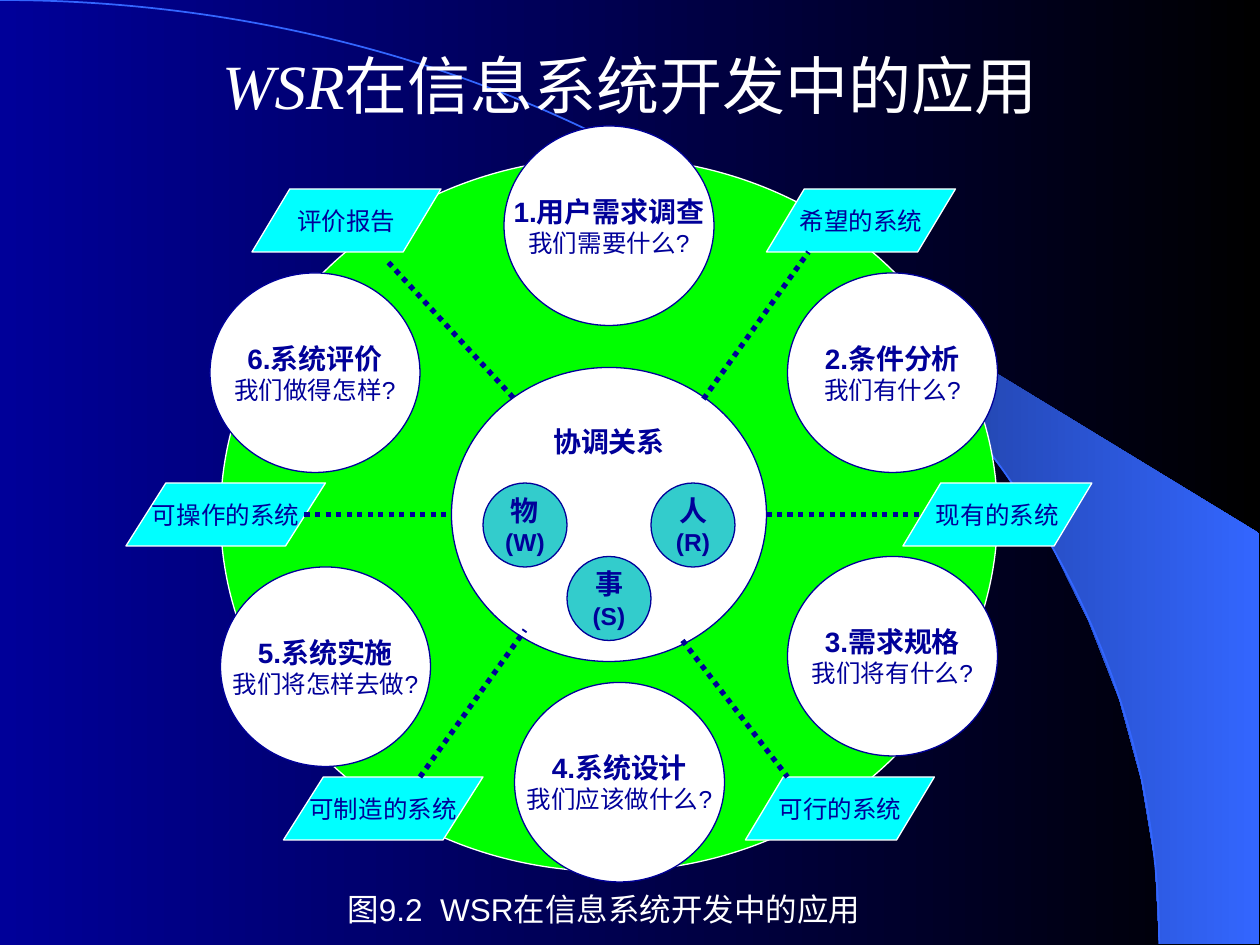
import math
from dataclasses import dataclass
from typing import NamedTuple, Optional

from lxml import etree
from pptx import Presentation
from pptx import util as u
from pptx.dml import color
from pptx.enum import dml, shapes, text
from pptx.oxml import ns

PX = 7620
COLORS = {
    "navy": "000099", "black": "000000", "white": "FFFFFF", "green": "00FF00",
    "cyan": "00FFFF", "teal": "33CCCC", "blue": "3366FF", "deep_blue": "182F76",
}
OVAL = shapes.MSO_SHAPE.OVAL
ARC_RADIUS_X, ARC_RADIUS_Y = 1104, 899
ARC_CONTROLS = [(610, 0), (1104, 402), (1104, 899)]


class Box(NamedTuple):
    left: int
    top: int
    width: int
    height: int


class Run(NamedTuple):
    content: str
    size: int
    bold: bool = False
    color: str = "navy"
    font: str = "Arial"
    italic: bool = False
    spacing: int = 0


@dataclass
class Step:
    left: int
    top: int
    name: str
    question: str


@dataclass
class Role:
    left: int
    top: int
    name: str
    letter: str


@dataclass
class Outcome:
    left: int
    top: int
    width: int
    name: str
    start: tuple[int, int]
    end: tuple[int, int]


STEPS = [
    Step(480, 120, "1.用户需求调查", "我们需要什么?"),
    Step(490, 650, "4.系统设计", "我们应该做什么?"),
    Step(750, 260, "2.条件分析", "我们有什么?"),
    Step(750, 530, "3.需求规格", "我们将有什么?"),
    Step(200, 260, "6.系统评价", "我们做得怎样?"),
    Step(210, 540, "5.系统实施", "我们将怎样去做?"),
]
ROLES = [
    Role(460, 460, "物", "(W)"),
    Role(620, 460, "人", "(R)"),
    Role(540, 530, "事", "(S)"),
]
OUTCOMES = [
    Outcome(730, 180, 180, "希望的系统", (670, 380), (770, 240)),
    Outcome(270, 740, 190, "可制造的系统", (400, 740), (500, 600)),
    Outcome(240, 180, 180, "评价报告", (370, 250), (490, 380)),
    Outcome(710, 740, 180, "可行的系统", (650, 610), (750, 740)),
    Outcome(860, 460, 180, "现有的系统", (730, 490), (880, 490)),
    Outcome(120, 460, 190, "可操作的系统", (290, 490), (430, 490)),
]


def rgb(name: str) -> color.RGBColor:
    return color.RGBColor.from_string(COLORS[name])


def emu(lengths) -> list[int]:
    return [length * PX for length in lengths]


def fill_gradient(fill, first: str, last: str) -> None:
    fill.gradient()
    fill.gradient_angle = 0
    for stop, name in zip(fill.gradient_stops, (first, last)):
        stop.color.rgb = rgb(name)


def write(frame, lines: list[list[Run]], wrap: bool = False,
          anchor=text.MSO_ANCHOR.MIDDLE, fit=text.MSO_AUTO_SIZE.NONE) -> None:
    frame.word_wrap = wrap
    frame.auto_size = fit
    frame.vertical_anchor = anchor
    for index, line in enumerate(lines):
        paragraph = frame.add_paragraph() if index else frame.paragraphs[0]
        paragraph.alignment = text.PP_ALIGN.CENTER
        for item in line:
            run = paragraph.add_run()
            run.text = item.content
            run.font.name = item.font
            run.font.size = u.Pt(item.size)
            run.font.bold = item.bold
            run.font.italic = item.italic
            run.font.color.rgb = rgb(item.color)
            if item.spacing:
                run.font._element.set("spc", str(item.spacing))


def draw_shape(parent, kind, box: Box, fill: str, line: str,
               lines: Optional[list[list[Run]]] = None) -> None:
    shape = parent.add_shape(kind, *emu(box))
    shape.shadow.inherit = False
    shape.fill.solid()
    shape.fill.fore_color.rgb = rgb(fill)
    shape.line.color.rgb = rgb(line)
    shape.line.width = u.Pt(0.75)
    if lines:
        write(shape.text_frame, lines)


def draw_dotted_line(parent, start: tuple[int, int], end: tuple[int, int]) -> None:
    connector = parent.add_connector(shapes.MSO_CONNECTOR.STRAIGHT, *emu(start + end))
    connector.line.color.rgb = rgb("navy")
    connector.line.width = u.Pt(3)
    connector.line.dash_style = dml.MSO_LINE.ROUND_DOT
    etree.SubElement(connector._element.spPr, ns.qn("a:effectLst"))


def arc_point(degree: int) -> tuple[int, int]:
    angle = math.radians(degree)
    return (round(ARC_RADIUS_X * math.sin(angle)),
            round(ARC_RADIUS_Y * (1 - math.cos(angle))))


def draw_outline(parent, points: list[tuple[int, int]], close: bool):
    builder = parent.build_freeform(*points[0], scale=PX)
    builder.add_line_segments(points[1:], close=close)
    shape = builder.convert_to_shape()
    shape.shadow.inherit = False
    return shape


def bend(shape, controls: list[tuple[int, int]]) -> None:
    segment = next(shape._element.iter(ns.qn("a:lnTo")))
    curve = etree.Element(ns.qn("a:cubicBezTo"))
    for x, y in controls:
        etree.SubElement(curve, ns.qn("a:pt"), x=str(x), y=str(y))
    segment.getparent().replace(segment, curve)


def draw_backdrop(slide) -> None:
    fill_gradient(slide.background.fill, "navy", "black")
    edge = [arc_point(degree) for degree in range(40, 91, 5)]
    band = draw_outline(slide.shapes, edge + [(1199, 899), (1199, 508)], True)
    fill_gradient(band.fill, "deep_blue", "blue")
    band.line.fill.background()
    arc = draw_outline(slide.shapes, [(0, 0), (ARC_RADIUS_X, ARC_RADIUS_Y)], False)
    bend(arc, ARC_CONTROLS)
    arc.fill.background()
    arc.line.color.rgb = rgb("blue")
    arc.line.width = u.Pt(1)


def draw_title(slide) -> None:
    title = slide.shapes.title
    slide.shapes._spTree.append(title._element)
    title.left, title.top, title.width, title.height = emu(Box(90, 20, 1020, 120))
    write(title.text_frame, [[
        Run("WSR", 36, color="white", font="Times New Roman", italic=True),
        Run("在信息系统开发中的应用", 36, color="white"),
    ]], wrap=True)


def draw_center(slide) -> None:
    group = slide.shapes.add_group_shape().shapes
    draw_shape(group, OVAL, Box(430, 350, 300, 280), "white", "navy")
    draw_shape(group, shapes.MSO_SHAPE.RECTANGLE, Box(510, 400, 140, 40),
               "white", "white", [[Run("协调关系", 16, True)]])
    for role in ROLES:
        draw_shape(group, OVAL, Box(role.left, role.top, 80, 80), "teal", "navy",
                   [[Run(role.name, 16, True)], [Run(role.letter, 14, True)]])


def draw_outcome(slide, outcome: Outcome) -> None:
    group = slide.shapes.add_group_shape().shapes
    draw_shape(group, shapes.MSO_SHAPE.FLOWCHART_DATA,
               Box(outcome.left, outcome.top, outcome.width, 60),
               "cyan", "white", [[Run(outcome.name, 14)]])
    draw_dotted_line(group, outcome.start, outcome.end)


def draw_caption(slide) -> None:
    caption = slide.shapes.add_textbox(*emu(Box(310, 842, 530, 48)))
    write(caption.text_frame, [[
        Run("图9.2", 18, color="white"),
        Run(" ", 18, color="white", spacing=500),
        Run("WSR在信息系统开发中的应用", 18, color="white"),
    ]], wrap=True, anchor=text.MSO_ANCHOR.TOP, fit=text.MSO_AUTO_SIZE.SHAPE_TO_FIT_TEXT)


def main() -> None:
    presentation = Presentation()
    presentation.slide_width, presentation.slide_height = emu((1200, 900))
    slide = presentation.slides.add_slide(presentation.slide_layouts[5])
    draw_backdrop(slide)
    draw_title(slide)
    draw_shape(slide.shapes, OVAL, Box(210, 150, 740, 680), "green", "white")
    for step in STEPS:
        draw_shape(slide.shapes, OVAL, Box(step.left, step.top, 200, 190), "white", "navy",
                   [[Run(step.name, 16, True)], [Run(step.question, 14)]])
    draw_center(slide)
    for outcome in OUTCOMES:
        draw_outcome(slide, outcome)
    draw_caption(slide)
    presentation.save("out.pptx")


if __name__ == "__main__":
    main()
